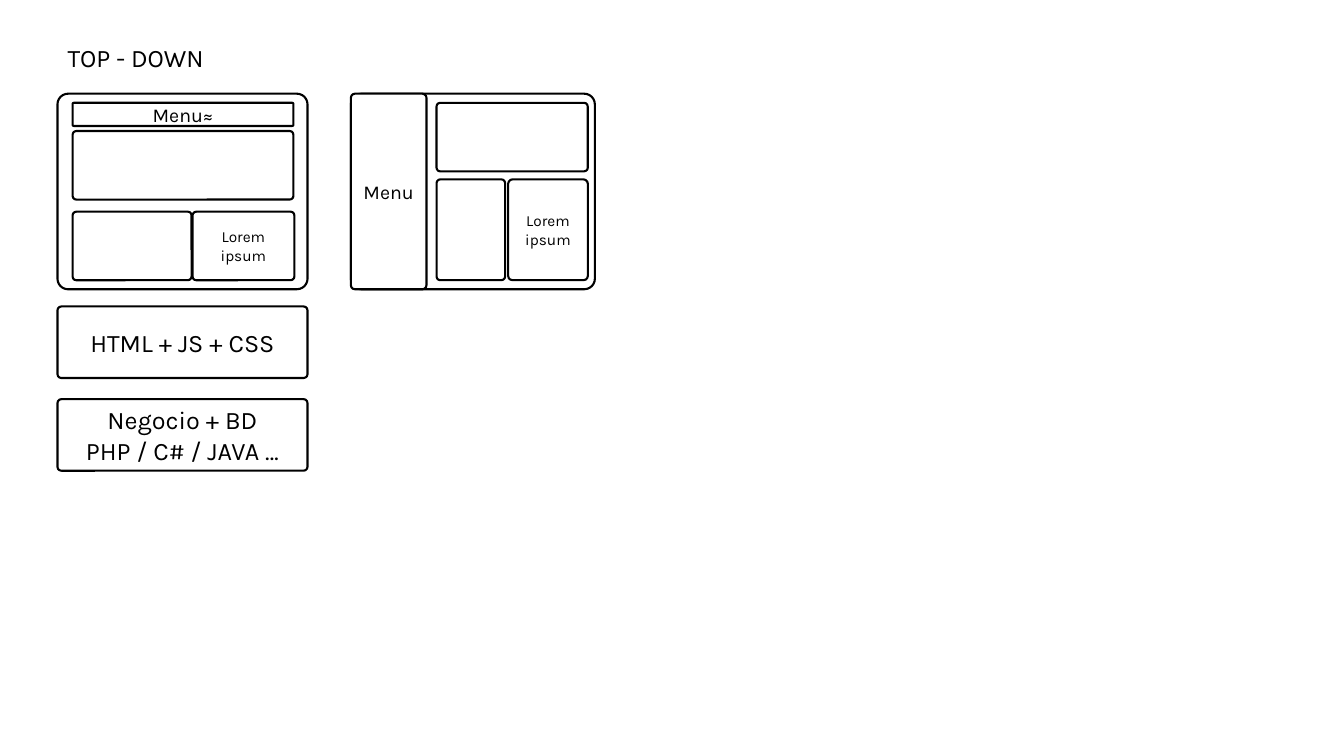
from pptx import Presentation
from pptx.dml.color import RGBColor
from pptx.enum.shapes import MSO_SHAPE
from pptx.enum.text import MSO_ANCHOR, MSO_AUTO_SIZE, PP_ALIGN
from pptx.util import Inches, Pt

COLORS = {"ink": "000000", "paper": "FFFFFF"}


class WireframeSlide:
    font_name = "Karla"
    line_width = Pt(1.5)
    corner = 0.054

    def __init__(self, presentation):
        self.slide = presentation.slides.add_slide(presentation.slide_layouts[5])
        background = self.slide.background.fill
        background.solid()
        background.fore_color.rgb = self.color("paper")

    def color(self, name):
        return RGBColor.from_string(COLORS[name])

    def add_text(self, paragraph, text, size, alignment):
        paragraph.alignment = alignment
        run = paragraph.add_run()
        run.text = text
        run.font.name = self.font_name
        run.font.size = Pt(size)
        run.font.color.rgb = self.color("ink")

    def title(self, text, left, top, width, height, size=18):
        shape = self.slide.shapes.title
        shape.left, shape.top = Inches(left), Inches(top)
        shape.width, shape.height = Inches(width), Inches(height)
        frame = shape.text_frame
        frame.word_wrap = True
        frame.auto_size = MSO_AUTO_SIZE.SHAPE_TO_FIT_TEXT
        frame.vertical_anchor = MSO_ANCHOR.TOP
        self.add_text(frame.paragraphs[0], text, size, PP_ALIGN.LEFT)

    def box(self, left, top, width, height, lines=(), size=18):
        """Draw an outlined rounded box with one centred paragraph per line."""
        shape = self.slide.shapes.add_shape(
            MSO_SHAPE.ROUNDED_RECTANGLE,
            Inches(left), Inches(top), Inches(width), Inches(height))
        shape.adjustments[0] = self.corner
        shape.shadow.inherit = False
        shape.fill.solid()
        shape.fill.fore_color.rgb = self.color("paper")
        shape.line.color.rgb = self.color("ink")
        shape.line.width = self.line_width
        frame = shape.text_frame
        frame.word_wrap = True
        frame.vertical_anchor = MSO_ANCHOR.MIDDLE
        for index, line in enumerate(lines):
            paragraph = frame.add_paragraph() if index else frame.paragraphs[0]
            self.add_text(paragraph, line, size, PP_ALIGN.CENTER)


def main():
    presentation = Presentation()
    presentation.slide_width = Inches(13.33)
    presentation.slide_height = Inches(7.5)
    wireframe = WireframeSlide(presentation)
    wireframe.title("TOP - DOWN", 0.57, 0.37, 5.33, 0.4)

    left, page_top, page_width, page_height = 0.57, 0.93, 2.48, 1.94
    panel_top, panel_height = 1.02, 0.68

    # Page with the menu across the top
    wireframe.box(left, page_top, page_width, page_height)
    wireframe.box(0.72, panel_top, 2.19, 0.23, ["Menu≈"], 14)
    wireframe.box(0.72, 1.3, 2.19, panel_height)
    wireframe.box(0.72, 2.1, 1.18, panel_height)
    wireframe.box(1.91, 2.1, 1.01, panel_height, ["Lorem ipsum"], 11)

    # Page with the menu at the side
    wireframe.box(3.48, page_top, 2.42, page_height)
    wireframe.box(3.48, page_top, 0.75, page_height, ["Menu"], 14)
    wireframe.box(4.33, panel_top, 1.5, panel_height)
    wireframe.box(4.33, 1.78, 0.68, 1)
    wireframe.box(5.04, 1.78, 0.79, 1, ["Lorem ipsum"], 11)

    # Technology layers below the first page
    layers = [["HTML + JS + CSS"], ["Negocio + BD", "PHP / C# / JAVA …"]]
    for index, lines in enumerate(layers):
        wireframe.box(left, 3.04 + index * 0.92, page_width, 0.71, lines)

    presentation.save("out.pptx")


if __name__ == "__main__":
    main()
